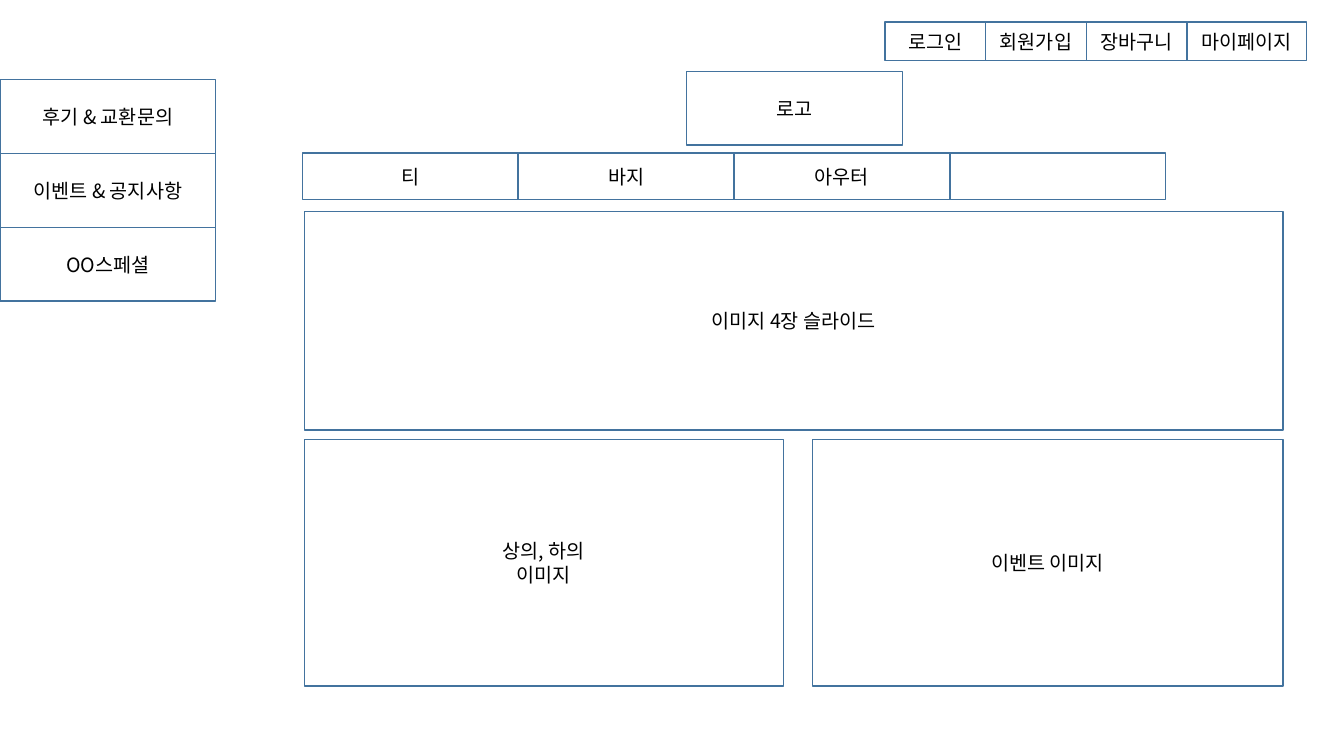
"""Draw the wireframe of a clothes shop's home page."""
import pptx
import pptx.dml.color
import pptx.enum.shapes
import pptx.enum.text
import pptx.oxml.ns
import pptx.util
from lxml import etree

Cm = pptx.util.Cm
HUES = {"line": "43739E", "text": "000000"}


class Page:
    def __init__(self, slide, font, size):
        self.slide = slide
        self.font = font
        self.size = size

    def hue(self, name):
        return pptx.dml.color.RGBColor.from_string(HUES[name])

    def run(self, para, text):
        run = para.add_run()
        run.text = text
        run.font.size = pptx.util.Pt(self.size)
        run.font.name = self.font
        run.font.color.rgb = self.hue("text")
        east = etree.SubElement(run.font._element, pptx.oxml.ns.qn("a:ea"))
        east.set("typeface", self.font)

    def box(self, left, top, width, height, *lines):
        kind = pptx.enum.shapes.MSO_SHAPE.RECTANGLE
        box = self.slide.shapes.add_shape(kind, Cm(left), Cm(top), Cm(width), Cm(height))
        box.shadow.inherit = False
        box.fill.background()
        box.line.color.rgb = self.hue("line")
        box.line.width = pptx.util.Pt(1)
        frame = box.text_frame
        frame.word_wrap = True
        frame.vertical_anchor = pptx.enum.text.MSO_ANCHOR.MIDDLE
        for spot, text in enumerate(lines):
            para = frame.add_paragraph() if spot else frame.paragraphs[0]
            para.alignment = pptx.enum.text.PP_ALIGN.CENTER
            self.run(para, text)

    def row(self, left, top, height, cells):
        for text, width in cells:
            self.box(left, top, width, height, *([text] if text else []))
            left += width

    def stack(self, left, top, width, height, texts):
        for spot, text in enumerate(texts):
            self.box(left, top + spot * height, width, height, text)


deck = pptx.Presentation()
deck.slide_width = Cm(33.87)
deck.slide_height = Cm(19.05)
page = Page(deck.slides.add_slide(deck.slide_layouts[6]), "Noto Sans CJK KR", 14)

TAB, TALL = 5.44, 1.86
LEFT, WIDE = 7.67, 24.66
LOW, DEEP = 11.07, 6.22

page.row(22.3, 0.56, 0.97,
         [("로그인", 2.54), ("회원가입", 2.54), ("장바구니", 2.54), ("마이페이지", 3)])
page.box(17.3, 1.8, TAB, TALL, "로고")
page.stack(0, 2.01, TAB, TALL, ["후기 & 교환문의", "이벤트 & 공지사항", "OO스페셜"])
page.box(LEFT, 5.33, WIDE, 5.51, "이미지 4장 슬라이드")
page.box(LEFT, LOW, 12.07, DEEP, "상의, 하의", "이미지")
page.box(20.47, LOW, 11.86, DEEP, "이벤트 이미지")
page.row(7.62, 3.86, 1.17, [(name, TAB) for name in ("티", "바지", "아우터", "")])

deck.save("out.pptx")
